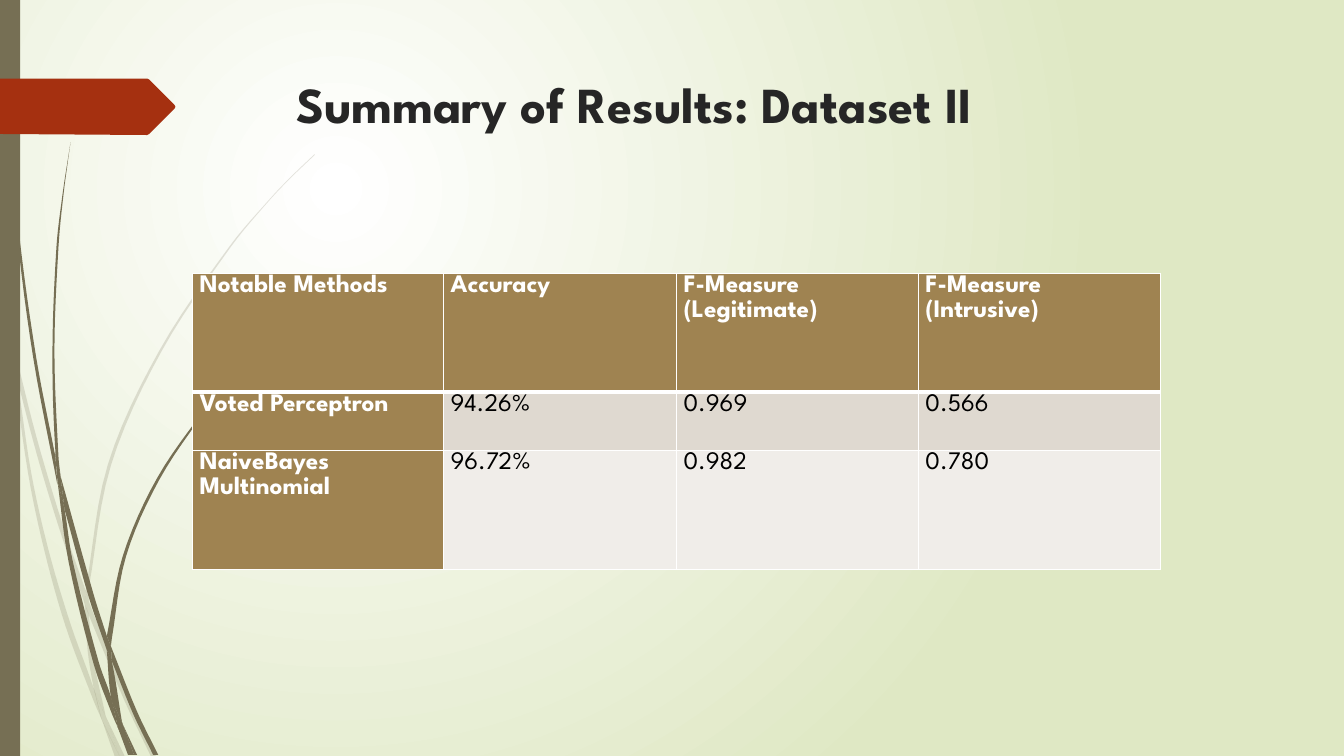
from dataclasses import dataclass
from itertools import chain
from math import hypot

from pptx import Presentation
from pptx.dml.color import RGBColor
from pptx.enum.shapes import MSO_SHAPE
from pptx.enum.text import MSO_ANCHOR
from pptx.oxml import parse_xml
from pptx.oxml.ns import nsdecls
from pptx.util import Inches, Pt

Point = tuple[float, float]
Edge = tuple[Point, ...]

COLORS = {
    "white": "FFFFFF", "black": "000000", "title": "262626",
    "meadow": "DFE8C4", "grass": "766F54", "arrow": "A53010",
    "header": "9F8351", "band_dark": "DFD9D0", "band_light": "F0EDE9",
}
FONT = "League Spartan"
COLS, ROWS = 1333, 750
STEPS = 6

prs = Presentation()
prs.slide_width, prs.slide_height = Inches(13.33), Inches(7.5)
CELL_W, CELL_H = prs.slide_width / COLS, prs.slide_height / ROWS
slide = prs.slides.add_slide(prs.slide_layouts[6])


@dataclass(frozen=True)
class Outline:
    edges: tuple[Edge, ...]
    color: str = "grass"
    alpha: int = 100


@dataclass(frozen=True)
class Row:
    height: int
    texts: tuple[str, ...]
    fill: str
    header: bool = False


def x(col: float) -> int:
    return round(col * CELL_W)


def y(row: float) -> int:
    return round(row * CELL_H)


def rgb(name: str) -> RGBColor:
    return RGBColor.from_string(COLORS[name])


def corners(*points: Point) -> tuple[Edge, ...]:
    return tuple((p,) for p in points)


def length(a: Point, b: Point) -> float:
    return hypot(b[0] - a[0], b[1] - a[1])


def smooth(edge: Edge) -> list[Point]:
    if len(edge) < 3:
        return list(edge)
    last = len(edge) - 1
    slopes = []
    for i in range(len(edge)):
        before, after = max(i - 1, 0), min(i + 1, last)
        run = sum(length(edge[j], edge[j + 1]) for j in range(before, after))
        slopes.append([(edge[after][k] - edge[before][k]) / run for k in (0, 1)])
    points = [edge[0]]
    for a, b, ma, mb in zip(edge, edge[1:], slopes, slopes[1:]):
        d = length(a, b)
        for n in range(1, STEPS + 1):
            t = n / STEPS
            s = t * t * (3 - 2 * t)
            u, v = d * t * (1 - t) ** 2, d * t * t * (t - 1)
            points.append(tuple(a[k] + (b[k] - a[k]) * s + u * ma[k] + v * mb[k]
                                for k in (0, 1)))
    return points


def paint(sp, color: str, alpha: int = 100) -> None:
    sp.shadow.inherit = False
    sp.line.fill.background()
    sp.fill.solid()
    sp.fill.fore_color.rgb = rgb(color)
    if alpha < 100:
        sp.fill._xPr.solidFill[0].append(
            parse_xml(f'<a:alpha {nsdecls("a")} val="{alpha * 1000}"/>'))


def draw_outline(outline: Outline) -> None:
    points = [(x(px), y(py)) for px, py in chain.from_iterable(map(smooth, outline.edges))]
    fb = slide.shapes.build_freeform(*points[0], scale=1.0)
    fb.add_line_segments(points[1:], close=True)
    paint(fb.convert_to_shape(), outline.color, outline.alpha)


def style_text(p, size: int, color: str, bold: bool) -> None:
    for r in p.runs:
        r.font.name, r.font.size, r.font.bold = FONT, Pt(size), bold
        r.font.color.rgb = rgb(color)


def add_borders(cell, top: int, bottom: int) -> None:
    tcPr = cell._tc.get_or_add_tcPr()
    for i, (side, width) in enumerate(zip("LRTB", (1, 1, top, bottom))):
        tcPr.insert(i, parse_xml(
            f'<a:ln{side} {nsdecls("a")} w="{Pt(width)}"><a:solidFill>'
            f'<a:srgbClr val="{COLORS["white"]}"/></a:solidFill></a:ln{side}>'))


def add_results(left: int, top: int, widths: tuple[int, ...], rows: tuple[Row, ...]) -> None:
    table = slide.shapes.add_table(
        len(rows), len(widths), x(left), y(top),
        x(sum(widths)), y(sum(row.height for row in rows))).table
    table.horz_banding = False
    for column, width in zip(table.columns, widths):
        column.width = x(width)
    for i, row in enumerate(rows):
        table.rows[i].height = y(row.height)
        for j, text in enumerate(row.texts):
            cell = table.cell(i, j)
            heading = row.header or j == 0
            cell.margin_left = cell.margin_right = x(7)
            cell.margin_top = cell.margin_bottom = 0
            cell.fill.solid()
            cell.fill.fore_color.rgb = rgb("header" if heading else row.fill)
            add_borders(cell, 3 if i == 1 else 1, 3 if row.header else 1)
            p = cell.text_frame.paragraphs[0]
            p.text = text
            p.line_spacing = 1.07
            style_text(p, 18, "white" if heading else "black", heading)


PALE_BLADES = (
    (((11, 350), (9, 322), (0, 282)), ((0, 299), (10, 344), (11, 350))),
    (((17, 376), (36, 449), (58, 522), (84, 599)),
     ((85, 586), (62, 520), (36, 433), (14, 345))),
    (((88, 610), (123, 694), (150, 751)), ((155, 751), (127, 692), (92, 607), (88, 596))),
    corners((119, 751), (124, 751), (105, 711)),
    (((101, 714), (93, 683), (70, 619), (48, 545), (31, 469), (17, 376), (11, 350)),
     ((11, 350), (28, 470), (44, 546), (65, 621), (92, 693), (101, 714))),
    (((84, 599), (87, 646), (93, 683), (96, 692), (105, 711)),
     ((105, 711), (91, 646), (88, 610), (84, 599))),
    (((88, 584), (110, 462), (160, 349), (229, 245), (268, 198), (290, 175), (312, 154)),
     ((312, 153), (289, 175), (268, 197), (228, 244), (158, 348), (107, 461), (85, 586)),
     ((88, 596),)),
    corners((101, 714), (114, 751), (119, 751)),
    corners((88, 610), (88, 596), (85, 586), (84, 599)),
    (((93, 683), (99, 707), (101, 714), (119, 751)), ((105, 711), (96, 692))),
)
DARK_BLADES = (
    (((3, 0), (4, 48), (7, 110), (17, 233), (33, 355), (57, 481)),
     ((55, 453), (36, 355), (19, 232), (8, 109), (5, 48), (4, 0))),
    (((64, 505), (88, 592), (106, 645)), ((106, 631), (93, 590), (60, 472))),
    (((111, 656), (132, 708), (152, 749)), ((157, 749), (136, 706), (110, 641))),
    (((57, 477), (68, 557), (93, 659), (111, 708), (117, 722)),
     ((116, 717), (110, 691), (98, 657), (72, 556), (64, 505), (57, 477))),
    (((60, 472), (58, 453), (54, 349), (58, 245), (63, 193), (70, 141)),
     ((70, 141), (62, 193), (56, 245), (52, 349), (55, 449), (60, 472))),
    corners((133, 749), (136, 749), (122, 719)),
    corners((57, 477), (64, 505), (60, 472), (55, 449), (55, 453)),
    (((111, 633), (125, 552), (158, 476), (205, 406), (231, 374), (245, 359), (261, 344)),
     ((260, 344), (245, 358), (231, 373), (204, 405), (156, 474), (122, 551), (106, 631)),
     ((110, 641),)),
    corners((117, 722), (127, 749), (131, 749)),
    (((106, 645), (110, 691), (116, 706), (122, 719)), ((121, 716), (111, 656), (106, 645))),
    corners((106, 645), (111, 656), (110, 641), (106, 631)),
    (((110, 691), (116, 717), (117, 722), (130, 749)),
     ((133, 749), (122, 719), (116, 706), (110, 691))),
)
ARROW = Outline(corners((0, 78), (146, 78), (148, 79), (173, 104), (174, 106),
                        (173, 108), (148, 133), (146, 134), (0, 133)), "arrow")
RESULTS = (
    Row(118, ("Notable Methods", "Accuracy", "F-Measure (Legitimate)",
              "F-Measure (Intrusive)"), "header", True),
    Row(58, ("Voted Perceptron", "94.26%", "0.969", "0.566"), "band_dark"),
    Row(118, ("NaiveBayes Multinomial", "96.72%", "0.982", "0.780"), "band_light"),
)

stops = "".join(f'<a:gs pos="{pos}"><a:srgbClr val="{COLORS[name]}"/></a:gs>'
                for pos, name in ((0, "white"), (100000, "meadow")))
slide._element.cSld.insert(0, parse_xml(
    f'<p:bg {nsdecls("p", "a")}><p:bgPr><a:gradFill rotWithShape="1">'
    f'<a:gsLst>{stops}</a:gsLst><a:path path="circle">'
    '<a:fillToRect l="50000" t="50000" r="100000" b="100000"/></a:path>'
    '</a:gradFill><a:effectLst/></p:bgPr></p:bg>'))

for blade in PALE_BLADES:
    draw_outline(Outline(blade, alpha=20))
for blade in DARK_BLADES:
    draw_outline(Outline(blade))
paint(slide.shapes.add_shape(MSO_SHAPE.RECTANGLE, 0, 0, x(20), y(ROWS)), "grass")
draw_outline(ARROW)

tf = slide.shapes.add_textbox(x(284), y(68), x(975), y(140)).text_frame
tf.word_wrap = True
tf.vertical_anchor = MSO_ANCHOR.TOP
tf.text = "Summary of Results: Dataset II"
style_text(tf.paragraphs[0], 36, "title", True)

add_results(191, 271, (249, 231, 240, 240), RESULTS)
prs.save("out.pptx")
